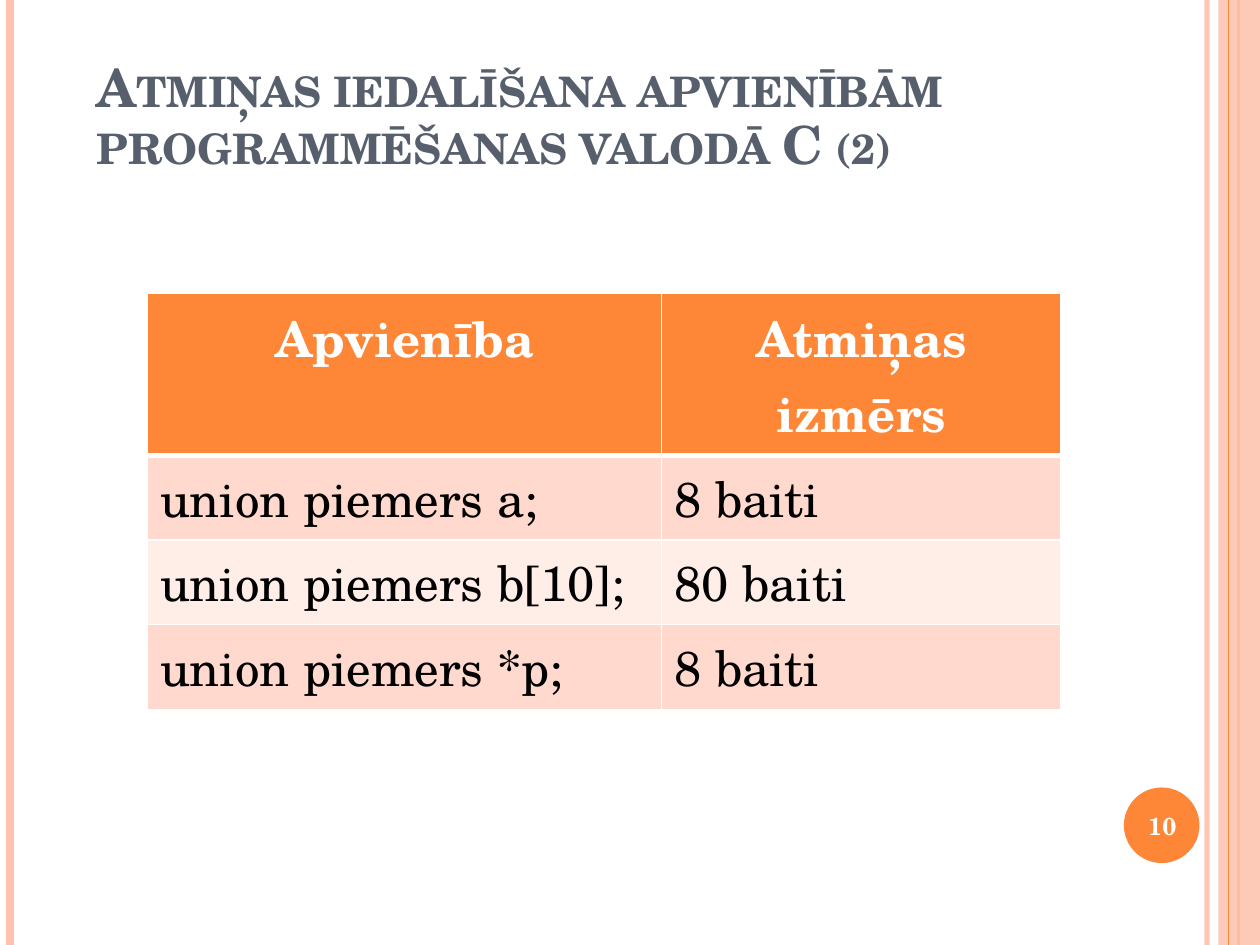
from lxml.etree import SubElement
from pptx import Presentation
from pptx.dml.color import RGBColor
from pptx.enum.shapes import MSO_CONNECTOR, MSO_SHAPE
from pptx.enum.text import MSO_ANCHOR, PP_ALIGN
from pptx.oxml.ns import qn
from pptx.util import Inches, Pt

WIDE, HIGH = 10, 7.5
FONT = "TeX Gyre Schola"
WHITE = RGBColor(0xFF, 0xFF, 0xFF)
BLACK = RGBColor(0, 0, 0)
SLATE = RGBColor(0x57, 0x5F, 0x6D)
ORANGE = RGBColor(0xFE, 0x86, 0x37)
PEACH = RGBColor(0xFE, 0xC3, 0xAE)
BANDS = RGBColor(0xFF, 0xD9, 0xCE), RGBColor(0xFF, 0xED, 0xE8)
ROWS = [
    ("Apvienība", "Atmiņas izmērs"),
    ("union piemers a;", "8 baiti"),
    ("union piemers b[10];", "80 baiti"),
    ("union piemers *p;", "8 baiti"),
]


def write(frame, text, size, color, bold=False, align=PP_ALIGN.LEFT,
          caps=False, pitch=None):
    """Put one formatted paragraph into a text frame."""
    para = frame.paragraphs[0]
    para.alignment = align
    if pitch:
        para.line_spacing = Pt(pitch)
    run = para.add_run()
    run.text = text
    font = run.font
    font.name, font.size, font.bold = FONT, Pt(size), bold
    font.color.rgb = color
    if caps:
        run._r.get_or_add_rPr().set("cap", "small")


def fade(part, share):
    """Make the solid colour of a fill or line partly clear."""
    color = part.find(".//" + qn("a:srgbClr"))
    SubElement(color, qn("a:alpha"), val=str(share * 1000))


def rule(slide, x, color, width, share=100):
    """Draw a line down the whole slide."""
    line = slide.shapes.add_connector(
        MSO_CONNECTOR.STRAIGHT, Inches(x), 0, Inches(x), Inches(HIGH))
    line.line.color.rgb = color
    line.line.width = Pt(width)
    props = line._element.spPr
    if share < 100:
        fade(props, share)
    SubElement(props, qn("a:effectLst"))


def block(slide, kind, box, color):
    """Add a plain filled shape without outline."""
    shape = slide.shapes.add_shape(kind, *map(Inches, box))
    shape.shadow.inherit = False
    shape.fill.solid()
    shape.fill.fore_color.rgb = color
    shape.line.fill.background()
    return shape


def label(slide, box, anchor, text, **form):
    """Add a wrapped text box."""
    frame = slide.shapes.add_textbox(*map(Inches, box)).text_frame
    frame.word_wrap = True
    frame.vertical_anchor = anchor
    write(frame, text, **form)


def frame_page(slide):
    """Draw the stripes at both edges of the slide."""
    rule(slide, 9.58, PEACH, 3, 93)
    rule(slide, 0.08, PEACH, 4.5)
    rule(slide, 9.83, ORANGE, 1.5)
    band = block(slide, MSO_SHAPE.RECTANGLE,
                 (WIDE - 0.33, 0, 0.33, HIGH), PEACH)
    fade(band._element.spPr, 87)
    rule(slide, 9.75, ORANGE, 0.75)


def badge(slide, box, number):
    """Draw the round page number."""
    x, y, w, h = box
    block(slide, MSO_SHAPE.OVAL, box, ORANGE)
    label(slide, (x - 0.03, y + 0.02, w + 0.07, h - 0.03), MSO_ANCHOR.MIDDLE,
          number, size=14, color=WHITE, bold=True, align=PP_ALIGN.CENTER)


def edge(cell, base):
    """Give a cell white borders, with its own width at the base."""
    props = cell._tc.get_or_add_tcPr()
    sides = {"lnL": 1, "lnR": 1, "lnT": 1, "lnB": base}
    for spot, (side, width) in enumerate(sides.items()):
        line = SubElement(props, qn("a:" + side), w=str(Pt(width)))
        fill = SubElement(line, qn("a:solidFill"))
        SubElement(fill, qn("a:srgbClr"), val=str(WHITE))
        props.insert(spot, line)


def grid(slide, box, shares, top):
    """Build the table; the head row takes the share top of its height."""
    table = slide.shapes.add_table(
        len(ROWS), len(shares), *map(Inches, box)).table
    for col, share in zip(table.columns, shares):
        col.width = Inches(box[2] * share)
    rest = (1 - top) / (len(ROWS) - 1)
    for r, texts in enumerate(ROWS):
        head = r == 0
        table.rows[r].height = Inches(box[3] * (top if head else rest))
        for c, text in enumerate(texts):
            cell = table.cell(r, c)
            cell.fill.solid()
            cell.fill.fore_color.rgb = ORANGE if head else BANDS[(r - 1) % 2]
            edge(cell, 3 if head else 1)
            write(cell.text_frame, text, 28, WHITE if head else BLACK, head,
                  PP_ALIGN.CENTER if head else PP_ALIGN.LEFT)


def main():
    """Build and save the slide."""
    deck = Presentation()
    deck.slide_width, deck.slide_height = Inches(WIDE), Inches(HIGH)
    slide = deck.slides.add_slide(deck.slide_layouts[6])
    frame_page(slide)
    badge(slide, (8.92, 6.25, 0.6, 0.6), "10")
    label(slide, (0.67, 0.28, 9, 1.16), MSO_ANCHOR.BOTTOM,
          "Atmiņas iedalīšana apvienībām programmēšanas valodā C (2)",
          size=30, color=SLATE, bold=True, caps=True, pitch=32.5)
    grid(slide, (1.17, 2.33, 7.25, 3.3), (0.563, 0.437), 0.39)
    deck.save("out.pptx")


main()
